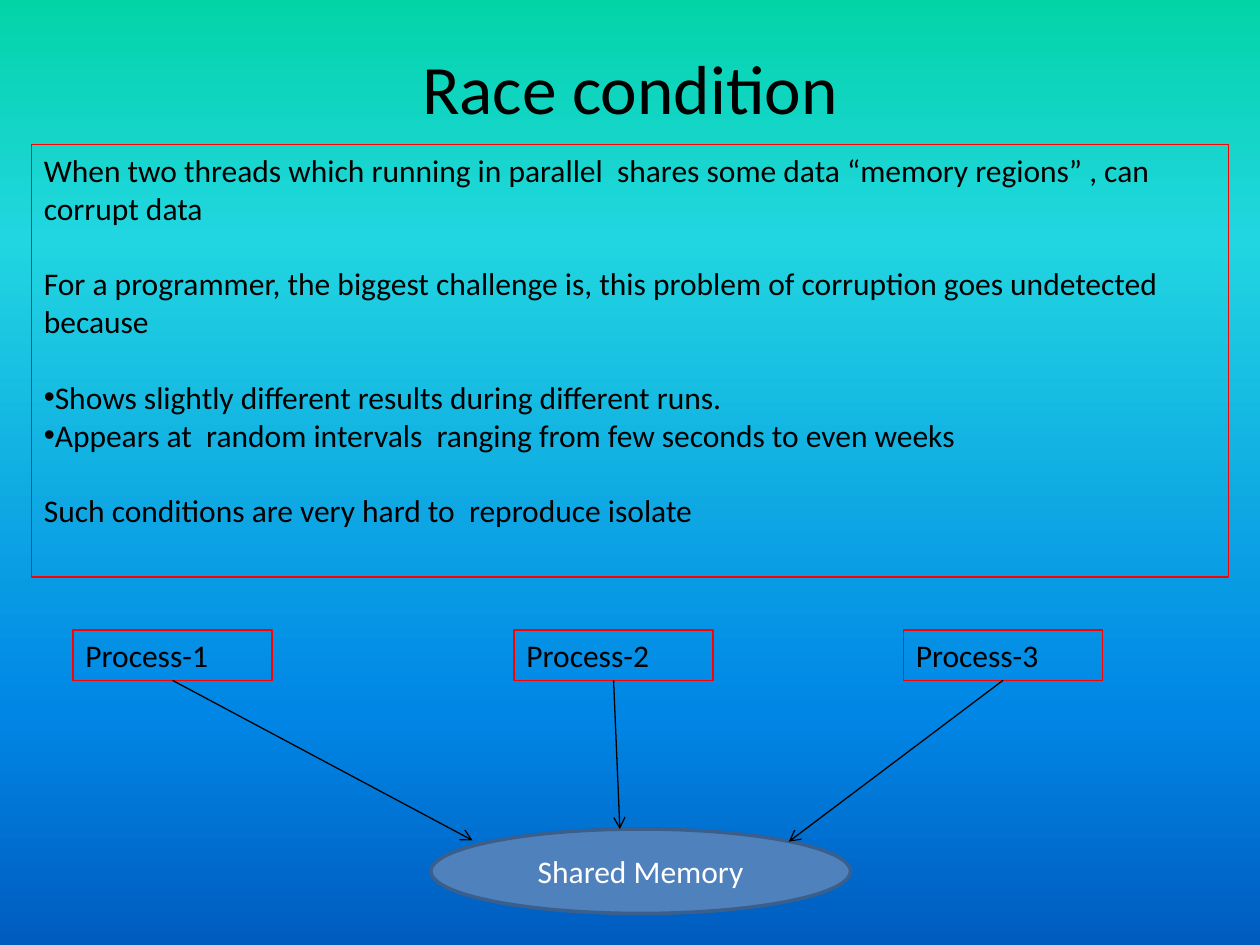
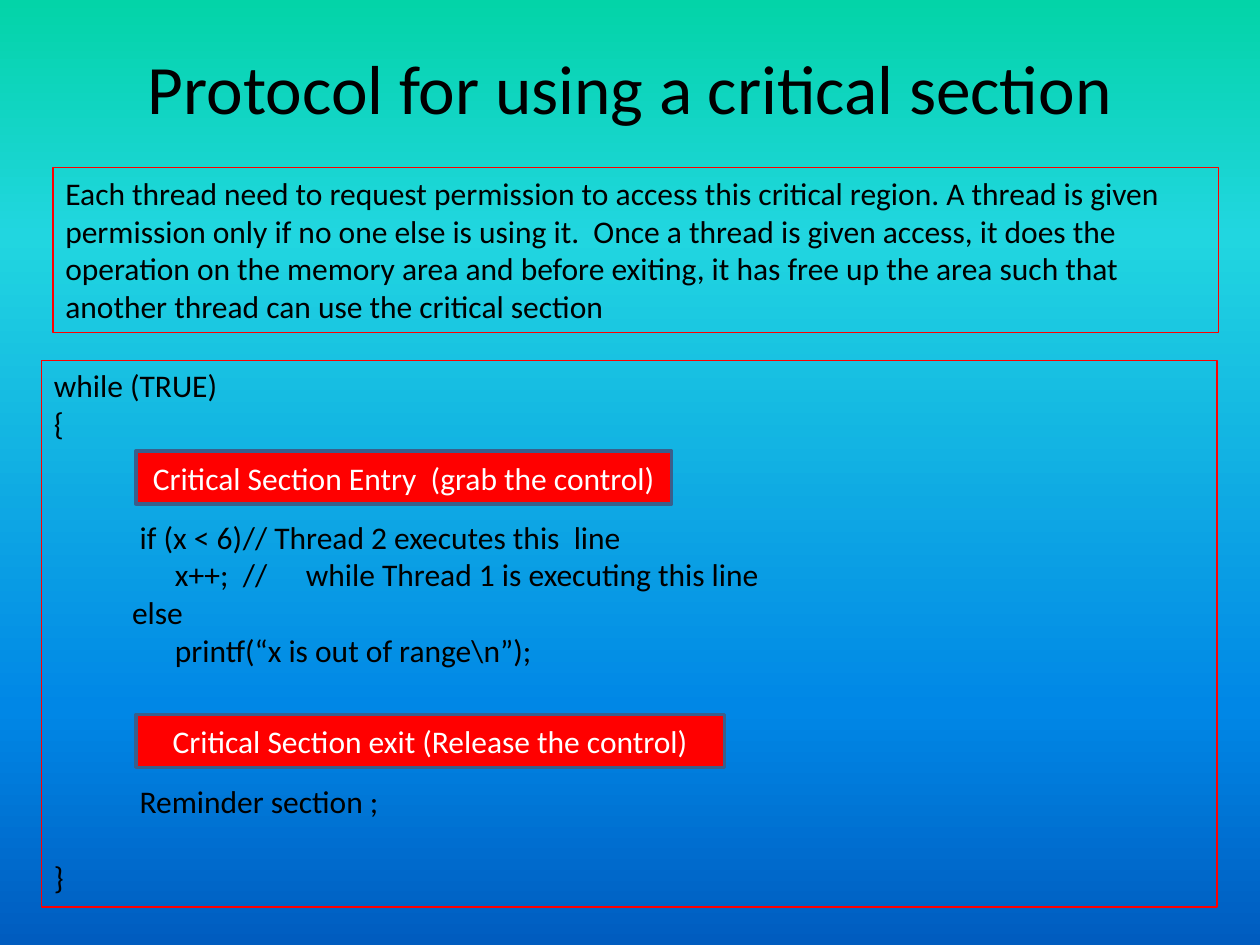
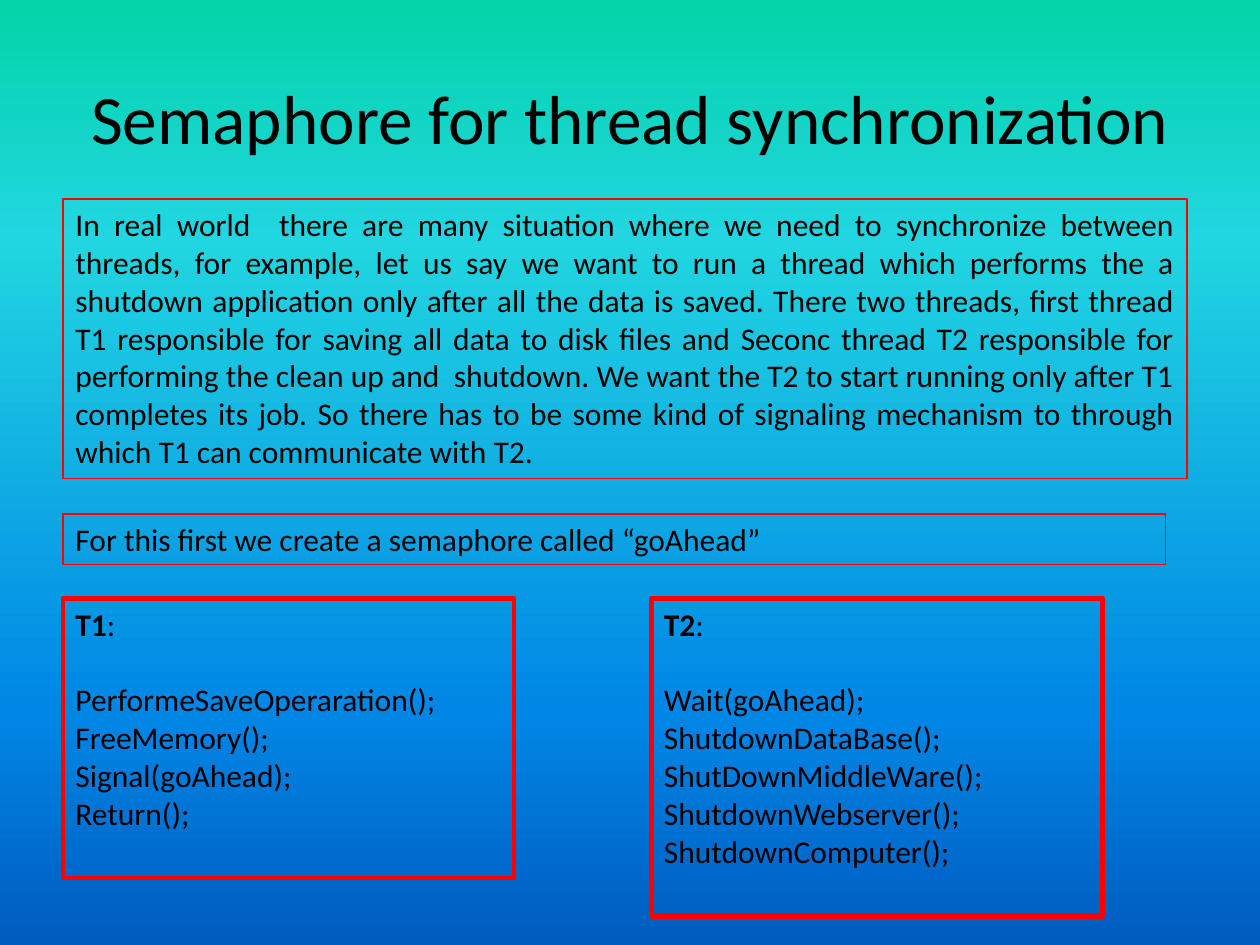
from dataclasses import dataclass
from typing import Any

from lxml.etree import SubElement
from pptx import Presentation
from pptx.dml.color import RGBColor
from pptx.enum.shapes import MSO_CONNECTOR, MSO_SHAPE
from pptx.enum.text import MSO_ANCHOR, PP_ALIGN
from pptx.oxml.ns import qn
from pptx.util import Inches, Pt

BLACK, WHITE, RED = "000000", "FFFFFF", "FF0000"
BLUE, NAVY = "4F81BD", "3A5F8C"
GRADIENT = ((0, "03D4A8"), (25, "21D6E0"), (75, "0087E6"), (100, "005CBF"))
BODY = {"name": "Calibri", "size": Pt(18)}
TITLE = {"name": "Calibri", "size": Pt(39.6)}
LINE_PT = 21.6


@dataclass(frozen=True)
class Line:
    """One paragraph; gap counts the empty lines above it."""
    text: str
    label: str = ""
    gap: int = 0
    indent: float = 0
    tabs: tuple[float, ...] = ()
    bullet: bool = False


@dataclass(frozen=True)
class Box:
    """A framed text area, or a filled shape with centred text."""
    at: tuple[float, float, float, float]
    lines: tuple[Line, ...]
    fill: str | None = None
    width: float = 0.75
    align: PP_ALIGN = PP_ALIGN.LEFT
    shape: MSO_SHAPE = MSO_SHAPE.RECTANGLE


def rgb(value: str) -> RGBColor:
    """Turn a hex string into a colour."""
    return RGBColor.from_string(value)


def apply(target: Any, values: dict[str, Any]) -> None:
    """Set every attribute named in the format values."""
    for name, value in values.items():
        setattr(target, name, value)


def add_run(p: Any, text: str, font: dict[str, Any], color: str) -> None:
    """Append a formatted run."""
    r = p.add_run()
    r.text = text
    apply(r.font, font)
    r.font.color.rgb = rgb(color)


def write(tf: Any, lines: tuple[Line, ...], font: dict[str, Any], color: str,
          align: PP_ALIGN, anchor: MSO_ANCHOR) -> None:
    """Fill a text frame with paragraphs."""
    apply(tf, {"word_wrap": True, "vertical_anchor": anchor})
    for i, line in enumerate(lines):
        p = tf.add_paragraph() if i else tf.paragraphs[0]
        apply(p, {"alignment": align, "space_before": Pt(line.gap * LINE_PT)})
        pPr = p._p.get_or_add_pPr()
        pPr.set("marL", "0")
        pPr.set("indent", str(Inches(line.indent)))
        if line.bullet:
            SubElement(pPr, qn("a:buFont"), typeface="Arial")
            SubElement(pPr, qn("a:buChar"), char="•")
        if line.tabs:
            tab_list = SubElement(pPr, qn("a:tabLst"))
            for pos in line.tabs:
                SubElement(tab_list, qn("a:tab"), pos=str(Inches(pos)), algn="l")
        if line.label:
            add_run(p, line.label, font | {"bold": True}, color)
        add_run(p, line.text, font, color)


def add_box(s: Any, box: Box) -> Any:
    """Draw a box with its text."""
    at = [Inches(v) for v in box.at]
    if box.fill:
        sp = s.shapes.add_shape(box.shape, *at)
        sp.shadow.inherit = False
        sp.fill.solid()
        sp.fill.fore_color.rgb = rgb(box.fill)
        line, width, color, anchor = NAVY, 2, WHITE, MSO_ANCHOR.MIDDLE
        align = PP_ALIGN.CENTER
    else:
        sp = s.shapes.add_textbox(*at)
        line, width, color, anchor = RED, box.width, BLACK, MSO_ANCHOR.TOP
        align = box.align
    sp.line.color.rgb = rgb(line)
    sp.line.width = Pt(width)
    write(sp.text_frame, box.lines, BODY, color, align, anchor)
    return sp


def add_arrow(s: Any, source: Any, end: tuple[float, float]) -> None:
    """Draw an arrow from the bottom of a box to a point."""
    x, y = (Inches(v) for v in end)
    c = s.shapes.add_connector(MSO_CONNECTOR.STRAIGHT, x, y, x, y)
    c.begin_connect(source, 2)
    c.line.color.rgb = rgb(BLACK)
    c.line.width = Pt(0.75)
    SubElement(c.line._get_or_add_ln(), qn("a:tailEnd"), type="arrow")
    SubElement(c._element.spPr, qn("a:effectLst"))


def add_slide(prs: Any, title: str, height: float = 0.78) -> Any:
    """Add a slide with the gradient background and a title."""
    s = prs.slides.add_slide(prs.slide_layouts[6])
    fill = s.background.fill
    fill.gradient()
    fill.gradient_angle = 270
    stops = s.background._cSld.find(".//" + qn("a:gsLst"))
    for stop in list(stops):
        stops.remove(stop)
    for percent, color in GRADIENT:
        stop = SubElement(stops, qn("a:gs"), pos=str(percent * 1000))
        SubElement(stop, qn("a:srgbClr"), val=color)
    sp = s.shapes.add_textbox(Inches(0.5), Inches(0.3), Inches(9), Inches(height))
    write(sp.text_frame, (Line(title),), TITLE, BLACK, PP_ALIGN.CENTER, MSO_ANCHOR.MIDDLE)
    return s


def race_condition(prs: Any) -> None:
    """Build the slide on race conditions."""
    s = add_slide(prs, "Race condition")
    add_box(s, Box((0.25, 1.15, 9.5, 3.43), (
        Line("When two threads which running in parallel  shares some data "
             "“memory regions” , can corrupt data"),
        Line("For a programmer, the biggest challenge is, this problem of "
             "corruption goes undetected because", gap=1),
        Line("Shows slightly different results during different runs.", gap=1, bullet=True),
        Line("Appears at  random intervals  ranging from few seconds to even weeks",
             bullet=True),
        Line("Such conditions are very hard to  reproduce isolate", gap=1),
    )))
    add_box(s, Box((3.42, 6.58, 3.33, 0.67), (Line("Shared Memory"),), BLUE,
                   shape=MSO_SHAPE.OVAL))
    targets = ((0.58, (3.75, 6.67)), (4.08, (4.92, 6.58)), (7.17, (6.26, 6.68)))
    for number, (left, end) in enumerate(targets, 1):
        process = add_box(s, Box((left, 5, 1.58, 0.4), (Line(f"Process-{number}"),)))
        add_arrow(s, process, end)


def critical_section(prs: Any) -> None:
    """Build the slide on the critical section protocol."""
    s = add_slide(prs, "Protocol for using a critical section")
    add_box(s, Box((0.42, 1.33, 9.25, 1.31), (
        Line("Each thread need to request permission to access this critical region. "
             "A thread is given permission only if no one else is using it.  Once a "
             "thread is given access, it does the operation on the memory area and "
             "before exiting, it has free up the area such that another thread can "
             "use the critical section"),
    )))
    add_box(s, Box((0.33, 2.86, 9.33, 4.34), (
        Line("while (TRUE)"),
        Line("{"),
        Line("if (x < 6)\t// Thread 2 executes this  line", gap=2, indent=0.68, tabs=(1.77,)),
        Line("x++;\t//\twhile Thread 1 is executing this line", indent=0.96,
             tabs=(1.56, 1.92)),
        Line("else", indent=0.62),
        Line("printf(“x is out of range\\n”);", indent=0.96),
        Line("Reminder section ;", gap=3, indent=0.68),
        Line("}", gap=1),
    )))
    for top, width, text in (
        (3.58, 4.25, "Critical Section Entry  (grab the control)"),
        (5.67, 4.67, "Critical Section exit (Release the control)"),
    ):
        add_box(s, Box((1.08, top, width, 0.42), (Line(text),), RED))


def semaphore(prs: Any) -> None:
    """Build the slide on semaphores."""
    s = add_slide(prs, "Semaphore for thread synchronization", 1.25)
    add_box(s, Box((0.5, 1.58, 8.92, 2.22), (
        Line("In real world  there are many situation where we need to synchronize "
             "between threads, for example, let us say we want to run a thread which "
             "performs the a shutdown application only after all the data is saved. "
             "There two threads, first thread T1 responsible for saving all data to "
             "disk files and Seconc thread T2 responsible for performing the clean up "
             "and  shutdown. We want the T2 to start running only after T1 completes "
             "its job. So there has to be some kind of signaling mechanism to through "
             "which T1 can communicate with T2."),
    ), align=PP_ALIGN.JUSTIFY))
    add_box(s, Box((0.5, 4.08, 8.75, 0.4),
                   (Line("For this first we create a semaphore called “goAhead”"),)))
    threads = (
        ("T1", 0.5, 2.22, 2.5, ("PerformeSaveOperaration", "FreeMemory",
                                "Signal(goAhead)", "Return")),
        ("T2", 5.17, 2.52, 3, ("Wait(goAhead)", "ShutdownDataBase", "ShutDownMiddleWare",
                               "ShutdownWebserver", "ShutdownComputer")),
    )
    for name, left, height, width, calls in threads:
        lines = [Line(":", label=name)]
        for i, call in enumerate(calls):
            text = f"{call};" if call.endswith(")") else f"{call}();"
            lines.append(Line(text, gap=int(i == 0)))
        add_box(s, Box((left, 4.75, 3.58, height), tuple(lines), width=width,
                       align=PP_ALIGN.JUSTIFY))


def main() -> None:
    """Build and save the presentation."""
    prs = Presentation()
    apply(prs, {"slide_width": Inches(10), "slide_height": Inches(7.5)})
    for build in (race_condition, critical_section, semaphore):
        build(prs)
    prs.save("out.pptx")


if __name__ == "__main__":
    main()
